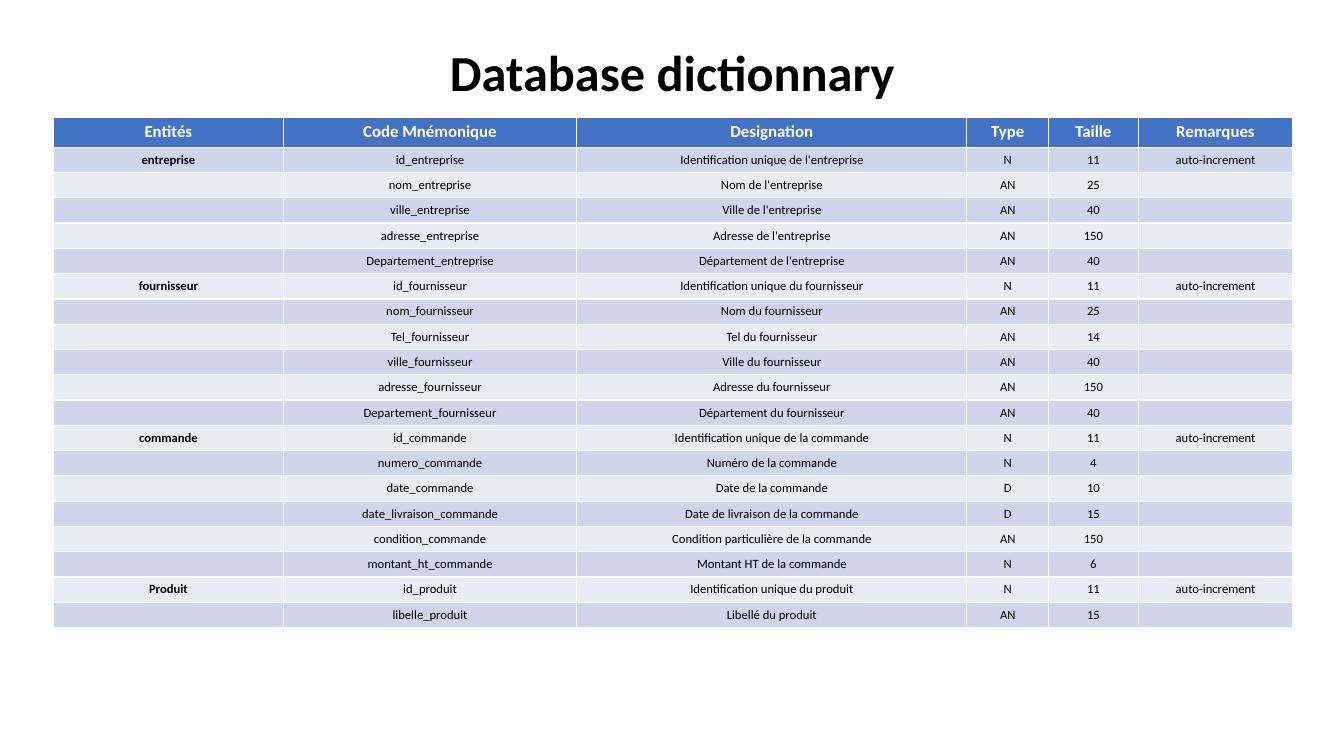
from dataclasses import dataclass

from lxml.etree import SubElement
from pptx import Presentation
from pptx.dml.color import RGBColor
from pptx.enum.text import MSO_ANCHOR, PP_ALIGN
from pptx.oxml.ns import qn
from pptx.slide import Slide
from pptx.table import _Cell
from pptx.text.text import _Paragraph
from pptx.util import Inches, Pt

SLIDE_WIDTH, SLIDE_HEIGHT = Inches(13.33), Inches(7.5)
FONT = "Calibri"
COLORS = {
    "header": "4472C4",
    "odd_row": "CFD5EA",
    "even_row": "E9EBF5",
    "header_text": "FFFFFF",
    "text": "000000",
}


@dataclass(frozen=True)
class Column:
    heading: str
    width: float  # percent of the slide width


@dataclass(frozen=True)
class Field:
    prefix: str
    meaning: str
    type_code: str
    length: int


@dataclass(frozen=True)
class Entity:
    name: str
    complement: str
    fields: tuple[Field, ...]


COLUMNS = (
    Column("Entités", 17.1),
    Column("Code Mnémonique", 21.83),
    Column("Designation", 29.03),
    Column("Type", 6.08),
    Column("Taille", 6.68),
    Column("Remarques", 11.48),
)
HEADER_HEIGHT, ROW_HEIGHT = 3.87, 3.2  # percent of the slide height

IDENTIFIER = Field("id", "Identification unique", "N", 11)
NAME = Field("nom", "Nom", "AN", 25)
PHONE = Field("Tel", "Tel", "AN", 14)
LOCATION = (
    Field("ville", "Ville", "AN", 40),
    Field("adresse", "Adresse", "AN", 150),
    Field("Departement", "Département", "AN", 40),
)
ENTITIES = (
    Entity("entreprise", "de l'entreprise", (IDENTIFIER, NAME, *LOCATION)),
    Entity("fournisseur", "du fournisseur", (IDENTIFIER, NAME, PHONE, *LOCATION)),
    Entity("commande", "de la commande", (
        IDENTIFIER,
        Field("numero", "Numéro", "N", 4),
        Field("date", "Date", "D", 10),
        Field("date_livraison", "Date de livraison", "D", 15),
        Field("condition", "Condition particulière", "AN", 150),
        Field("montant_ht", "Montant HT", "N", 6),
    )),
    Entity("Produit", "du produit", (
        IDENTIFIER,
        Field("libelle", "Libellé", "AN", 15),
    )),
)


def across(percent: float) -> int:
    return round(SLIDE_WIDTH * percent / 100)


def down(percent: float) -> int:
    return round(SLIDE_HEIGHT * percent / 100)


def write(paragraph: _Paragraph, text: str, size: int, color: str, bold: bool) -> None:
    paragraph.alignment = PP_ALIGN.CENTER
    if not text:
        # An empty cell needs its own text size, or it would stretch the row.
        SubElement(paragraph._p, qn("a:endParaRPr"), sz=str(size * 100))
        return
    run = paragraph.add_run()
    run.text = text
    run.font.name = FONT
    run.font.size = Pt(size)
    run.font.bold = bold
    run.font.color.rgb = RGBColor.from_string(COLORS[color])


def fill_cell(cell: _Cell, text: str, fill: str, size: int, color: str, bold: bool) -> None:
    cell.vertical_anchor = MSO_ANCHOR.MIDDLE
    cell.fill.solid()
    cell.fill.fore_color.rgb = RGBColor.from_string(COLORS[fill])
    write(cell.text_frame.paragraphs[0], text, size, color, bold)


def dictionary_rows() -> list[tuple[str, ...]]:
    return [
        (
            entity.name if field is IDENTIFIER else "",
            f"{field.prefix}_{entity.name.lower()}",
            f"{field.meaning} {entity.complement}",
            field.type_code,
            str(field.length),
            "auto-increment" if field is IDENTIFIER else "",
        )
        for entity in ENTITIES
        for field in entity.fields
    ]


def add_title(slide: Slide, text: str) -> None:
    frame = slide.shapes.add_textbox(
        across(6.9), down(0.27), across(86.27), down(19.33)
    ).text_frame
    frame.word_wrap = True
    frame.vertical_anchor = MSO_ANCHOR.MIDDLE
    frame.paragraphs[0].line_spacing = 0.9
    write(frame.paragraphs[0], text, 36, "text", True)


def add_dictionary(slide: Slide) -> None:
    entries = dictionary_rows()
    width = sum(column.width for column in COLUMNS)
    height = HEADER_HEIGHT + ROW_HEIGHT * len(entries)
    table = slide.shapes.add_table(
        len(entries) + 1, len(COLUMNS),
        across(3.98), down(15.47), across(width), down(height),
    ).table

    table.rows[0].height = down(HEADER_HEIGHT)
    for index, column in enumerate(COLUMNS):
        table.columns[index].width = across(column.width)
        fill_cell(table.cell(0, index), column.heading, "header", 12, "header_text", True)

    for row, entry in enumerate(entries, start=1):
        table.rows[row].height = down(ROW_HEIGHT)
        band = "odd_row" if row % 2 else "even_row"
        for index, text in enumerate(entry):
            fill_cell(table.cell(row, index), text, band, 9, "text", index == 0)


def main() -> None:
    presentation = Presentation()
    presentation.slide_width = SLIDE_WIDTH
    presentation.slide_height = SLIDE_HEIGHT
    slide = presentation.slides.add_slide(presentation.slide_layouts[6])
    add_title(slide, "Database dictionnary")
    add_dictionary(slide)
    presentation.save("out.pptx")


if __name__ == "__main__":
    main()
